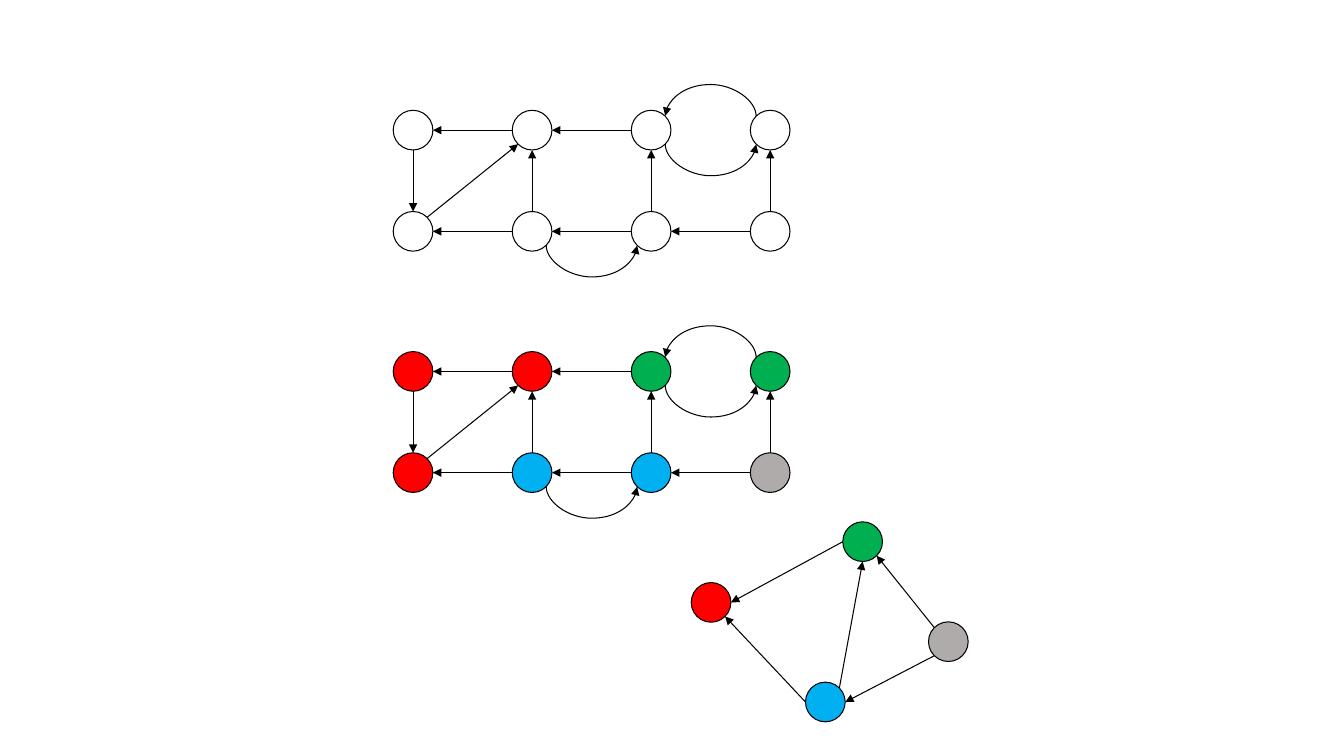
"""Build a slide with a directed graph, its strongly connected components and their condensation."""
from lxml import etree
from pptx import Presentation
from pptx import util as u
from pptx.dml.color import RGBColor
from pptx.enum import shapes
from pptx.oxml.ns import qn

COLORS = {"white": "FFFFFF", "red": "FF0000", "blue": "00B0F0", "green": "00B050",
          "gray": "AFABAB", "black": "000000"}

COLUMNS, ROWS = "ABCD", "12"
GRID_LEFT, COLUMN_STEP, ROW_STEP = 10.41, 3.0, 2.55
GRID_TOPS = {"plain": 3.28, "components": 9.36}
COMPONENTS = {"A1": "red", "A2": "red", "B1": "red", "B2": "blue",
              "C1": "green", "C2": "blue", "D1": "green", "D2": "gray"}
GRID_ARROWS = [
    ("B1", "W", "A1", "E"), ("C1", "W", "B1", "E"),
    ("B2", "N", "B1", "S"), ("C2", "N", "C1", "S"), ("D2", "N", "D1", "S"),
    ("A1", "S", "A2", "N"), ("B2", "W", "A2", "E"), ("C2", "W", "B2", "E"),
    ("D2", "W", "C2", "E"), ("A2", "NE", "B1", "SW"),
]
GRID_ARCS = [("D1", "NW", "C1", "NE"), ("C1", "SE", "D1", "SW"), ("B2", "SE", "C2", "SW")]

CONDENSED = {"red": (17.92, 15.18), "blue": (20.8, 17.69),
             "green": (21.74, 13.65), "gray": (23.9, 16.17)}
CONDENSED_ARROWS = [
    ("green", "W", "red", "E"), ("gray", "NW", "green", "SE"), ("gray", "SW", "blue", "E"),
    ("blue", "W", "red", "SE"), ("blue", "NE", "green", "S"),
]

RADIUS = 0.5
DIAGONAL = RADIUS / 2 ** 0.5
SIDES = {"N": (0, -RADIUS), "S": (0, RADIUS), "W": (-RADIUS, 0), "E": (RADIUS, 0),
         "NW": (-DIAGONAL, -DIAGONAL), "NE": (DIAGONAL, -DIAGONAL),
         "SW": (-DIAGONAL, DIAGONAL), "SE": (DIAGONAL, DIAGONAL)}
ARC_BULGE, ARC_THICKNESS = 0.8, 0.01
LINE_FORMAT = {"width": u.Pt(0.75)}


def format_line(line):
    line.color.rgb = RGBColor.from_string(COLORS["black"])
    for name, value in LINE_FORMAT.items():
        setattr(line, name, value)


def add_node(slide, center, color):
    x, y = center
    node = slide.shapes.add_shape(shapes.MSO_SHAPE.OVAL, u.Cm(x - RADIUS), u.Cm(y - RADIUS),
                                  u.Cm(2 * RADIUS), u.Cm(2 * RADIUS))
    node.shadow.inherit = False
    node.fill.solid()
    node.fill.fore_color.rgb = RGBColor.from_string(COLORS[color])
    format_line(node.line)


def anchor(centers, name, side):
    return tuple(c + offset for c, offset in zip(centers[name], SIDES[side]))


def add_arrow(slide, kind, start, end):
    arrow = slide.shapes.add_connector(kind, *(u.Cm(value) for value in (*start, *end)))
    format_line(arrow.line)
    properties = arrow.element.spPr
    etree.SubElement(properties.find(qn("a:ln")), qn("a:tailEnd"), type="triangle")
    etree.SubElement(properties, qn("a:effectLst"))
    return arrow


def add_arc(slide, start, end):
    """Turn a thin upright curve by 270 degrees so that it bulges up or down."""
    x, y = (start[0] + end[0]) / 2, (start[1] + end[1]) / 2
    half_width, half_height = ARC_THICKNESS / 2, abs(end[0] - start[0]) / 2
    arc = add_arrow(slide, shapes.MSO_CONNECTOR.CURVE,
                    (x - half_width, y - half_height), (x + half_width, y + half_height))
    properties = arc.element.spPr
    frame = properties.find(qn("a:xfrm"))
    frame.set("rot", str(270 * 60000))
    frame.set("flipV" if end[0] < start[0] else "flipH", "1")
    adjustments = properties.find(qn("a:prstGeom")).find(qn("a:avLst"))
    if adjustments is None:
        adjustments = etree.SubElement(properties.find(qn("a:prstGeom")), qn("a:avLst"))
    etree.SubElement(adjustments, qn("a:gd"), name="adj1",
                     fmla=f"val {round(ARC_BULGE / ARC_THICKNESS * 100000)}")


def add_graph(slide, centers, colors, arrows, arcs=()):
    for name, center in centers.items():
        add_node(slide, center, colors[name])
    for source, source_side, target, target_side in arrows:
        add_arrow(slide, shapes.MSO_CONNECTOR.STRAIGHT,
                  anchor(centers, source, source_side), anchor(centers, target, target_side))
    for source, source_side, target, target_side in arcs:
        add_arc(slide, anchor(centers, source, source_side), anchor(centers, target, target_side))


def main():
    presentation = Presentation()
    presentation.slide_width, presentation.slide_height = u.Cm(33.87), u.Cm(19.05)
    slide = presentation.slides.add_slide(presentation.slide_layouts[6])
    grid_colors = {"plain": dict.fromkeys(COMPONENTS, "white"), "components": COMPONENTS}
    for graph, top in GRID_TOPS.items():
        centers = {column + row: (GRID_LEFT + i * COLUMN_STEP, top + j * ROW_STEP)
                   for i, column in enumerate(COLUMNS) for j, row in enumerate(ROWS)}
        add_graph(slide, centers, grid_colors[graph], GRID_ARROWS, GRID_ARCS)
    add_graph(slide, CONDENSED, {name: name for name in CONDENSED}, CONDENSED_ARROWS)
    presentation.save("out.pptx")


if __name__ == "__main__":
    main()
